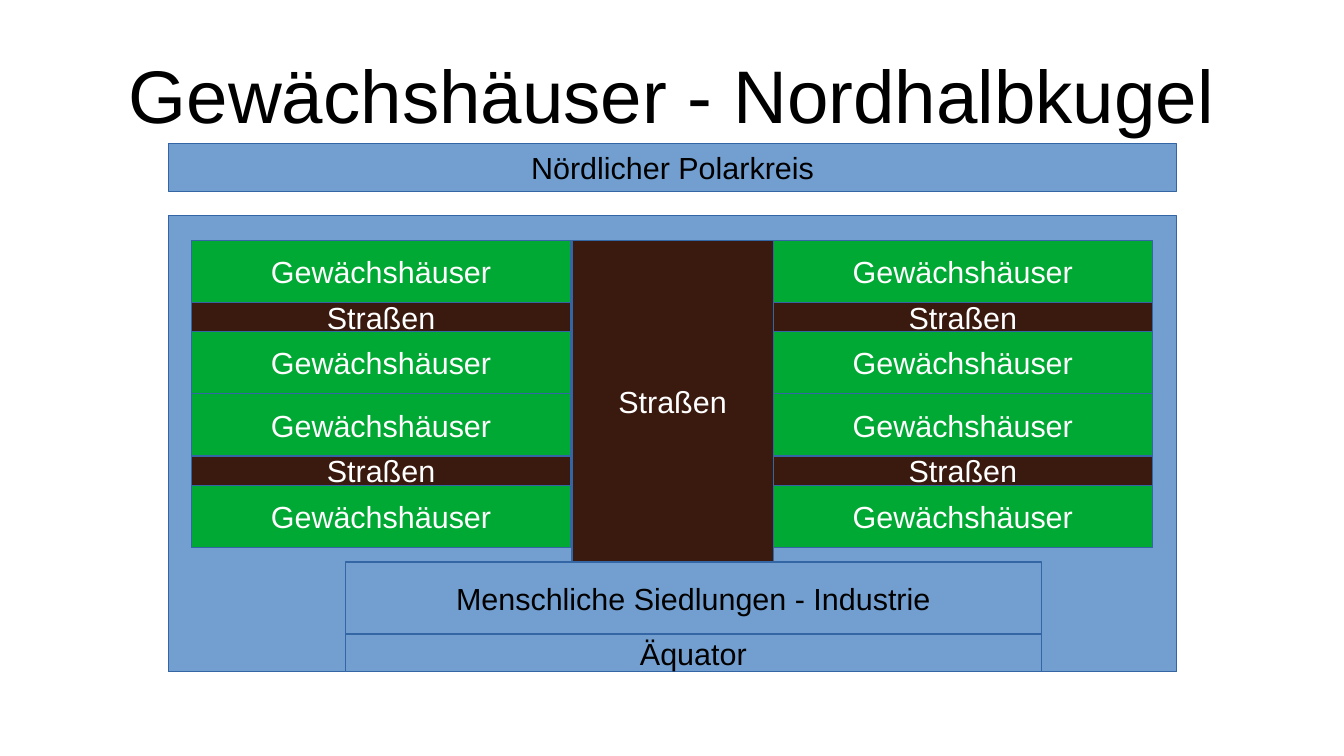
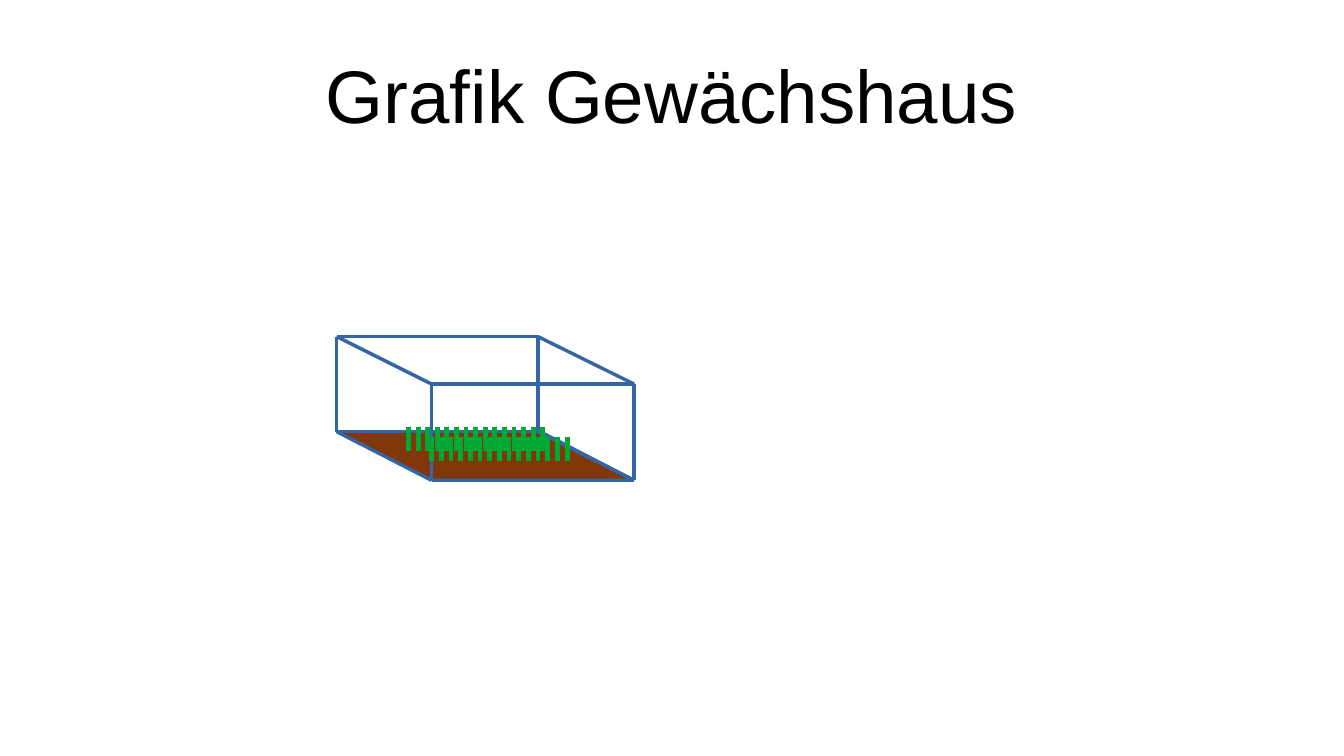
import dataclasses
import itertools

import lxml.etree
import pptx
import pptx.dml.color
import pptx.enum.shapes
import pptx.enum.text
import pptx.oxml.ns
import pptx.presentation
import pptx.shapes.autoshape
import pptx.slide
import pptx.text.text
import pptx.util

Inches = pptx.util.Inches
Point = tuple[float, float]

COLORS = {
    "text": "000000",
    "light": "FFFFFF",
    "sky": "729FCF",
    "outline": "3465A4",
    "plant": "00A933",
    "road": "3A1A0F",
    "soil": "813709",
}
FONT = "Arial"
TITLE_SIZE = 44
LABEL_SIZE = 18
STEM_WIDTH = 2.83


@dataclasses.dataclass(frozen=True)
class Area:
    left: float
    top: float
    width: float
    height: float
    fill: str
    label: str = ""
    ink: str = "light"


@dataclasses.dataclass(frozen=True)
class Band:
    label: str
    height: float
    fill: str


@dataclasses.dataclass(frozen=True)
class PlantRow:
    first: float
    last: float
    top: float
    height: float = 0.2
    count: int = 15


HOUSE = Band("Gewächshäuser", 0.51, "plant")
ROAD = Band("Straßen", 0.24, "road")
BANDS = (HOUSE, ROAD, HOUSE, HOUSE, ROAD, HOUSE)
BANDS_TOP = 1.97
BAND_WIDTH = 3.11
BAND_LEFTS = (1.57, 6.34)

ZONES = (
    Area(1.38, 1.77, 8.27, 3.74, "sky"),
    Area(2.83, 4.61, 5.71, 0.59, "sky", "Menschliche Siedlungen - Industrie", "text"),
    Area(2.83, 5.2, 5.71, 0.31, "sky", "Äquator", "text"),
    Area(4.69, BANDS_TOP, 1.65, 2.64, "road", "Straßen"),
    Area(1.38, 1.18, 8.27, 0.39, "sky", "Nördlicher Polarkreis", "text"),
)

SOIL = Area(2.76, 3.54, 2.44, 0.39, "soil")
SOIL_SLANT = 1.929
CORNER_XS = (2.76, 4.41, 5.2, 3.54)
FLOOR_YS = (3.54, 3.54, 3.94, 3.94)
ROOF_YS = (2.76, 2.76, 3.15, 3.15)
PLANT_ROWS = (PlantRow(3.35, 4.45, 3.5), PlantRow(3.54, 4.65, 3.58))


def rgb(name: str) -> pptx.dml.color.RGBColor:
    return pptx.dml.color.RGBColor.from_string(COLORS[name])


def write(frame: pptx.text.text.TextFrame, text: str, size: float, ink: str) -> None:
    frame.word_wrap = True
    frame.vertical_anchor = pptx.enum.text.MSO_ANCHOR.MIDDLE
    para = frame.paragraphs[0]
    para.alignment = pptx.enum.text.PP_ALIGN.CENTER
    span = para.add_run()
    span.text = text
    span.font.name = FONT
    span.font.size = pptx.util.Pt(size)
    span.font.color.rgb = rgb(ink)


def add_page(deck: pptx.presentation.Presentation, heading: str) -> pptx.slide.Slide:
    page = deck.slides.add_slide(deck.slide_layouts.get_by_name("Title Only"))
    title = page.shapes.title
    title.left, title.top = Inches(0.55), Inches(0.25)
    title.width, title.height = Inches(9.92), Inches(1.04)
    frame = title.text_frame
    frame.margin_left = frame.margin_right = 0
    frame.margin_top = frame.margin_bottom = 0
    write(frame, heading, TITLE_SIZE, "text")
    frame.auto_size = pptx.enum.text.MSO_AUTO_SIZE.SHAPE_TO_FIT_TEXT
    return page


def add_area(
    page: pptx.slide.Slide,
    area: Area,
    kind: pptx.enum.shapes.MSO_SHAPE = pptx.enum.shapes.MSO_SHAPE.RECTANGLE,
) -> pptx.shapes.autoshape.Shape:
    box = page.shapes.add_shape(
        kind, Inches(area.left), Inches(area.top), Inches(area.width), Inches(area.height)
    )
    box.shadow.inherit = False
    box.fill.solid()
    box.fill.fore_color.rgb = rgb(area.fill)
    box.line.color.rgb = rgb("outline")
    box.line.width = pptx.util.Pt(0)
    if area.label:
        write(box.text_frame, area.label, LABEL_SIZE, area.ink)
    return box


def add_line(
    page: pptx.slide.Slide, start: Point, end: Point, color: str = "outline", width: float = 0
) -> None:
    line = page.shapes.add_connector(
        pptx.enum.shapes.MSO_CONNECTOR.STRAIGHT, *(Inches(value) for value in start + end)
    )
    line.line.color.rgb = rgb(color)
    line.line.width = pptx.util.Pt(width)
    lxml.etree.SubElement(line.element.spPr, pptx.oxml.ns.qn("a:effectLst"))


def add_band_column(page: pptx.slide.Slide, left: float) -> None:
    tops = itertools.accumulate((band.height for band in BANDS), initial=BANDS_TOP)
    for band, top in zip(BANDS, tops):
        add_area(page, Area(left, top, BAND_WIDTH, band.height, band.fill, band.label))


def add_glass_frame(page: pptx.slide.Slide) -> None:
    floor = list(zip(CORNER_XS, FLOOR_YS))
    roof = list(zip(CORNER_XS, ROOF_YS))
    for face in (floor, roof):
        for start, end in itertools.pairwise(face + face[:1]):
            add_line(page, start, end)
    for start, end in zip(floor, roof):
        add_line(page, start, end)


def add_plants(page: pptx.slide.Slide, row: PlantRow) -> None:
    pitch = (row.last - row.first) / (row.count - 1)
    for index in range(row.count):
        x = row.first + index * pitch
        add_line(page, (x, row.top + row.height), (x, row.top), "plant", STEM_WIDTH)


def build_hemisphere(deck: pptx.presentation.Presentation) -> None:
    page = add_page(deck, "Gewächshäuser - Nordhalbkugel")
    for zone in ZONES:
        add_area(page, zone)
    for left in BAND_LEFTS:
        add_band_column(page, left)


def build_greenhouse(deck: pptx.presentation.Presentation) -> None:
    page = add_page(deck, "Grafik Gewächshaus")
    soil = add_area(page, SOIL, pptx.enum.shapes.MSO_SHAPE.PARALLELOGRAM)
    soil.adjustments[0] = SOIL_SLANT
    soil.element.spPr.get_or_add_xfrm().set("flipV", "1")
    add_glass_frame(page)
    for row in PLANT_ROWS:
        add_plants(page, row)


def main() -> None:
    deck = pptx.Presentation()
    deck.slide_width, deck.slide_height = Inches(11.02), Inches(6.2)
    build_hemisphere(deck)
    build_greenhouse(deck)
    deck.save("out.pptx")


if __name__ == "__main__":
    main()
